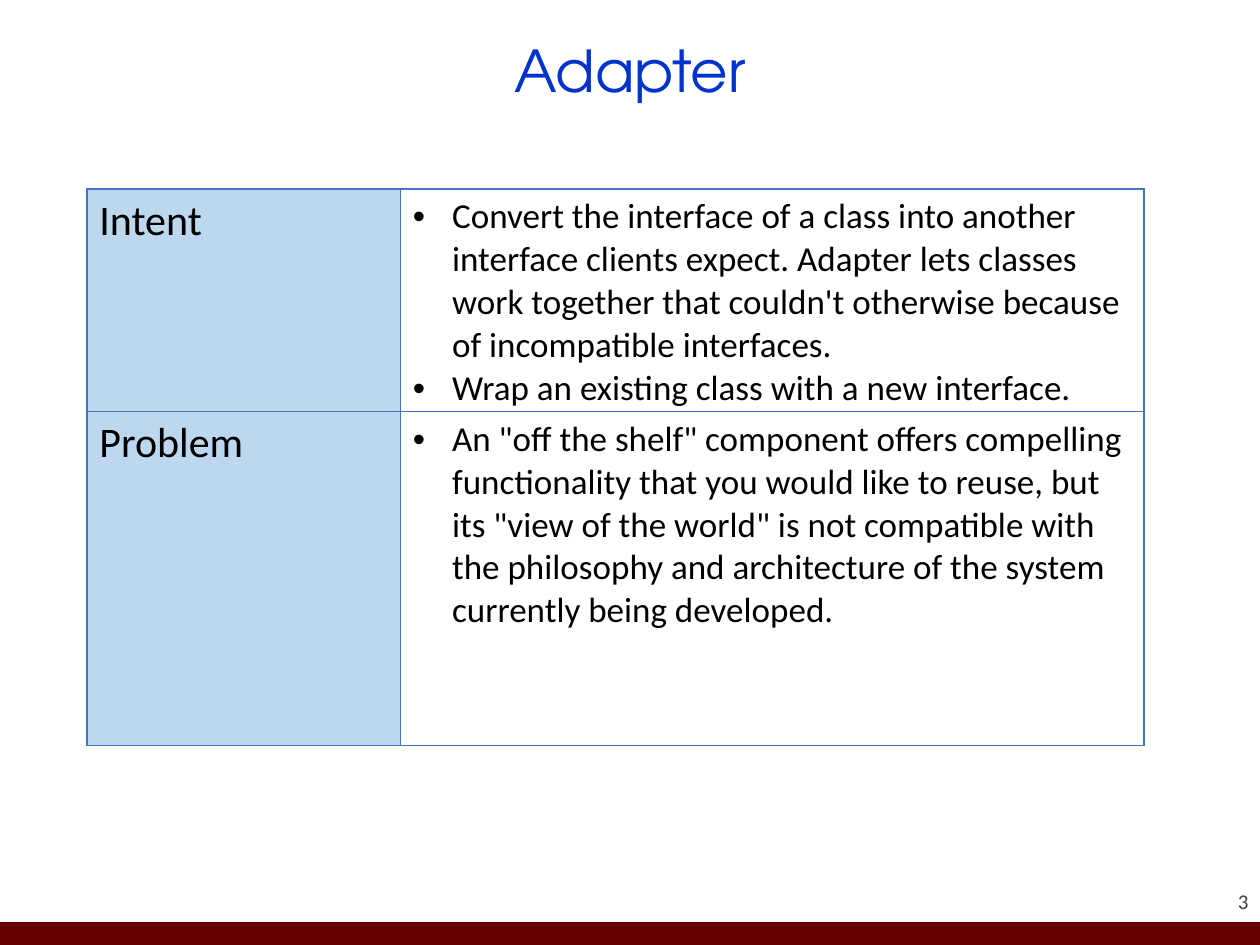
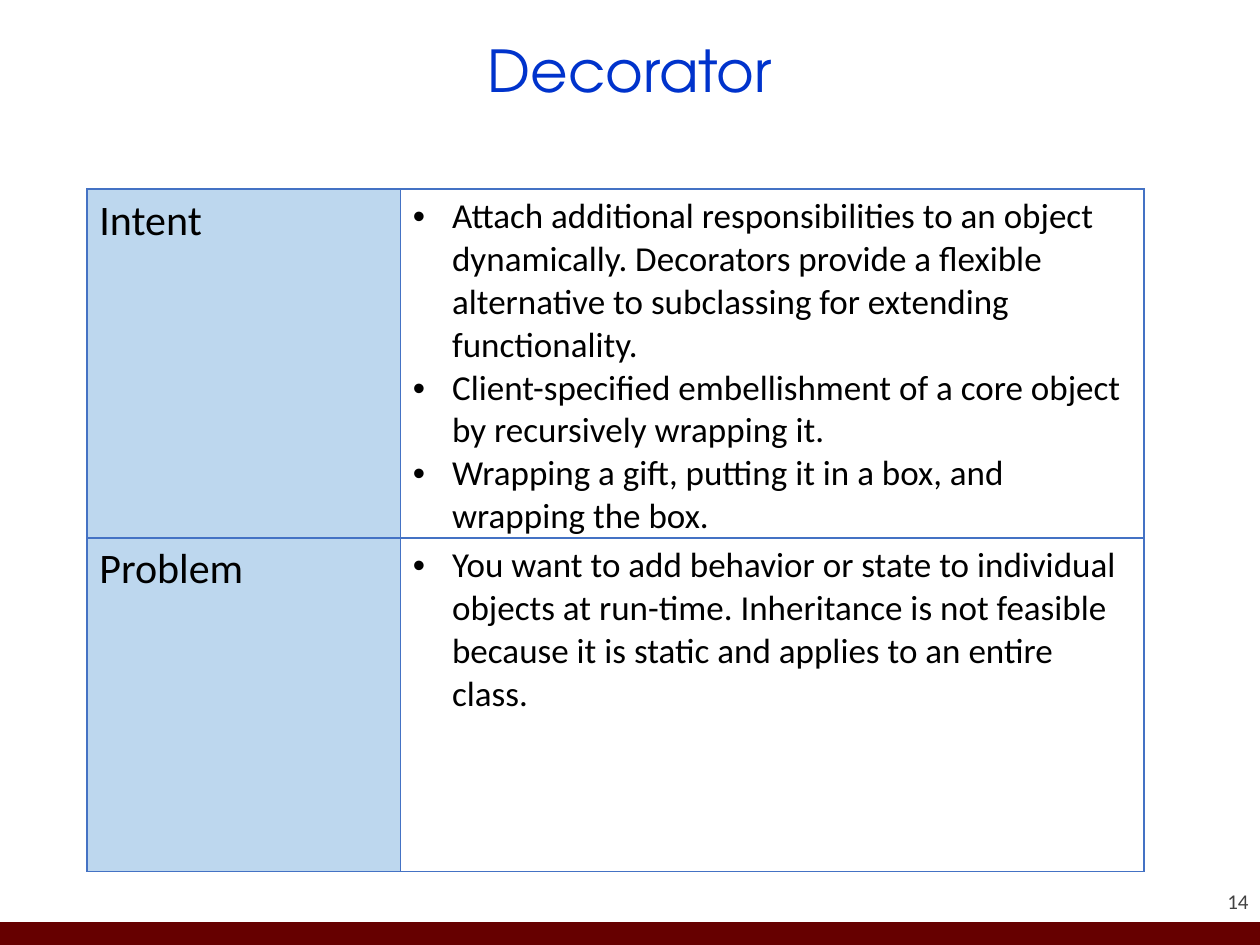
from dataclasses import dataclass

from lxml import etree
from pptx import Presentation
from pptx import util as u
from pptx.dml.color import RGBColor
from pptx.enum import shapes, text
from pptx.oxml import ns

# Shared look
TITLE_BLUE = RGBColor(0x00, 0x33, 0xCC)
BAND_RED = RGBColor(0x66, 0x00, 0x00)
LABEL_BLUE = RGBColor(0xBD, 0xD7, 0xEE)
BORDER_BLUE = RGBColor(0x44, 0x72, 0xC4)
NUMBER_GREY = RGBColor(0x42, 0x42, 0x42)
BLACK = RGBColor(0x00, 0x00, 0x00)
WHITE = RGBColor(0xFF, 0xFF, 0xFF)
TITLE_FONT = "TeX Gyre Adventor"
BODY_FONT = "Calibri"

SLIDE_WIDTH, SLIDE_HEIGHT = u.Cm(25.4), u.Cm(19.05)
BAND_HEIGHT = u.Cm(0.46)
LEFT_MARGIN = u.Cm(1.75)
COLUMN_WIDTHS = (u.Cm(6.32), u.Cm(14.99))
ROW_HEIGHTS = (u.Cm(4.47), u.Cm(6.73))
BULLET_INDENT = u.Cm(0.79)


@dataclass(frozen=True)
class Pattern:
    name: str
    page: int
    intent: tuple[str, ...]
    problem: tuple[str, ...]


PATTERNS = (
    Pattern(
        "Adapter", 3,
        ("Convert the interface of a class into another interface clients expect. "
         "Adapter lets classes work together that couldn't otherwise because of "
         "incompatible interfaces.",
         "Wrap an existing class with a new interface."),
        ('An "off the shelf" component offers compelling functionality that you would '
         'like to reuse, but its "view of the world" is not compatible with the '
         'philosophy and architecture of the system currently being developed.',),
    ),
    Pattern(
        "Decorator", 14,
        ("Attach additional responsibilities to an object dynamically. Decorators "
         "provide a flexible alternative to subclassing for extending functionality.",
         "Client-specified embellishment of a core object by recursively wrapping it.",
         "Wrapping a gift, putting it in a box, and wrapping the box."),
        ("You want to add behavior or state to individual objects at run-time. "
         "Inheritance is not feasible because it is static and applies to an entire "
         "class.",),
    ),
)


def write_text(paragraph, content: str, *, size: float, font: str = BODY_FONT,
               color: RGBColor = BLACK, align=text.PP_ALIGN.LEFT,
               line_spacing: float | None = None, space_before: float | None = None,
               bullet: bool = False) -> None:
    """Put one formatted run into a paragraph."""
    run = paragraph.add_run()
    run.text = content
    run.font.size, run.font.name, run.font.bold = u.Pt(size), font, False
    run.font.color.rgb = color
    paragraph.alignment = align
    if line_spacing is not None:
        paragraph.line_spacing = line_spacing
    if space_before is not None:
        paragraph.space_before = u.Pt(space_before)
    if bullet:
        properties = paragraph._p.get_or_add_pPr()
        properties.set("marL", str(BULLET_INDENT))
        properties.set("indent", str(-BULLET_INDENT))
        etree.SubElement(properties, ns.qn("a:buFont"), typeface="Arial")
        etree.SubElement(properties, ns.qn("a:buChar"), char="•")


def style_cell(cell, fill: RGBColor) -> None:
    """Draw the four borders, then the fill that must follow them in the XML."""
    properties = cell._tc.get_or_add_tcPr()
    for side in ("lnL", "lnR", "lnT", "lnB"):
        line = etree.SubElement(properties, ns.qn(f"a:{side}"), w=str(u.Pt(1)))
        solid = etree.SubElement(line, ns.qn("a:solidFill"))
        etree.SubElement(solid, ns.qn("a:srgbClr"), val=str(BORDER_BLUE))
    cell.fill.solid()
    cell.fill.fore_color.rgb = fill


def add_footer(slide, page: int) -> None:
    band = slide.shapes.add_shape(
        shapes.MSO_SHAPE.RECTANGLE, 0, SLIDE_HEIGHT - BAND_HEIGHT, SLIDE_WIDTH, BAND_HEIGHT)
    band.shadow.inherit = False
    band.fill.solid()
    band.fill.fore_color.rgb = BAND_RED
    band.line.fill.background()

    number = slide.shapes.add_textbox(u.Cm(23.06), u.Cm(17.4), u.Cm(2.11), u.Cm(1.02))
    frame = number.text_frame
    frame.word_wrap = True
    frame.vertical_anchor = text.MSO_ANCHOR.BOTTOM
    frame.margin_left = frame.margin_right = frame.margin_top = frame.margin_bottom = 0
    write_text(frame.paragraphs[0], str(page), size=12, color=NUMBER_GREY,
               align=text.PP_ALIGN.RIGHT, space_before=5)


def add_title(slide, name: str) -> None:
    title = slide.shapes.title
    title.left, title.top = LEFT_MARGIN, u.Cm(0.3)
    title.width, title.height = u.Cm(21.9), u.Cm(2.39)
    frame = title.text_frame
    frame.auto_size = text.MSO_AUTO_SIZE.NONE
    frame.vertical_anchor = text.MSO_ANCHOR.MIDDLE
    write_text(frame.paragraphs[0], name, size=33, font=TITLE_FONT, color=TITLE_BLUE,
               align=text.PP_ALIGN.CENTER, line_spacing=0.9)


def add_pattern_table(slide, pattern: Pattern) -> None:
    rows = (("Intent", pattern.intent), ("Problem", pattern.problem))
    table = slide.shapes.add_table(
        len(rows), len(COLUMN_WIDTHS), LEFT_MARGIN, u.Cm(3.81),
        sum(COLUMN_WIDTHS), sum(ROW_HEIGHTS)).table
    table.first_row = table.horz_banding = False
    for column, width in zip(table.columns, COLUMN_WIDTHS):
        column.width = width
    for row, height, (label, points) in zip(table.rows, ROW_HEIGHTS, rows):
        row.height = height
        label_cell, points_cell = row.cells
        style_cell(label_cell, LABEL_BLUE)
        style_cell(points_cell, WHITE)
        write_text(label_cell.text_frame.paragraphs[0], label, size=24)
        frame = points_cell.text_frame
        for index, point in enumerate(points):
            paragraph = frame.add_paragraph() if index else frame.paragraphs[0]
            write_text(paragraph, point, size=20, bullet=True)


def main() -> None:
    presentation = Presentation()
    presentation.slide_width, presentation.slide_height = SLIDE_WIDTH, SLIDE_HEIGHT
    title_only = presentation.slide_layouts.get_by_name("Title Only")
    for pattern in PATTERNS:
        slide = presentation.slides.add_slide(title_only)
        add_footer(slide, pattern.page)
        add_title(slide, pattern.name)
        add_pattern_table(slide, pattern)
    presentation.save("out.pptx")


if __name__ == "__main__":
    main()
